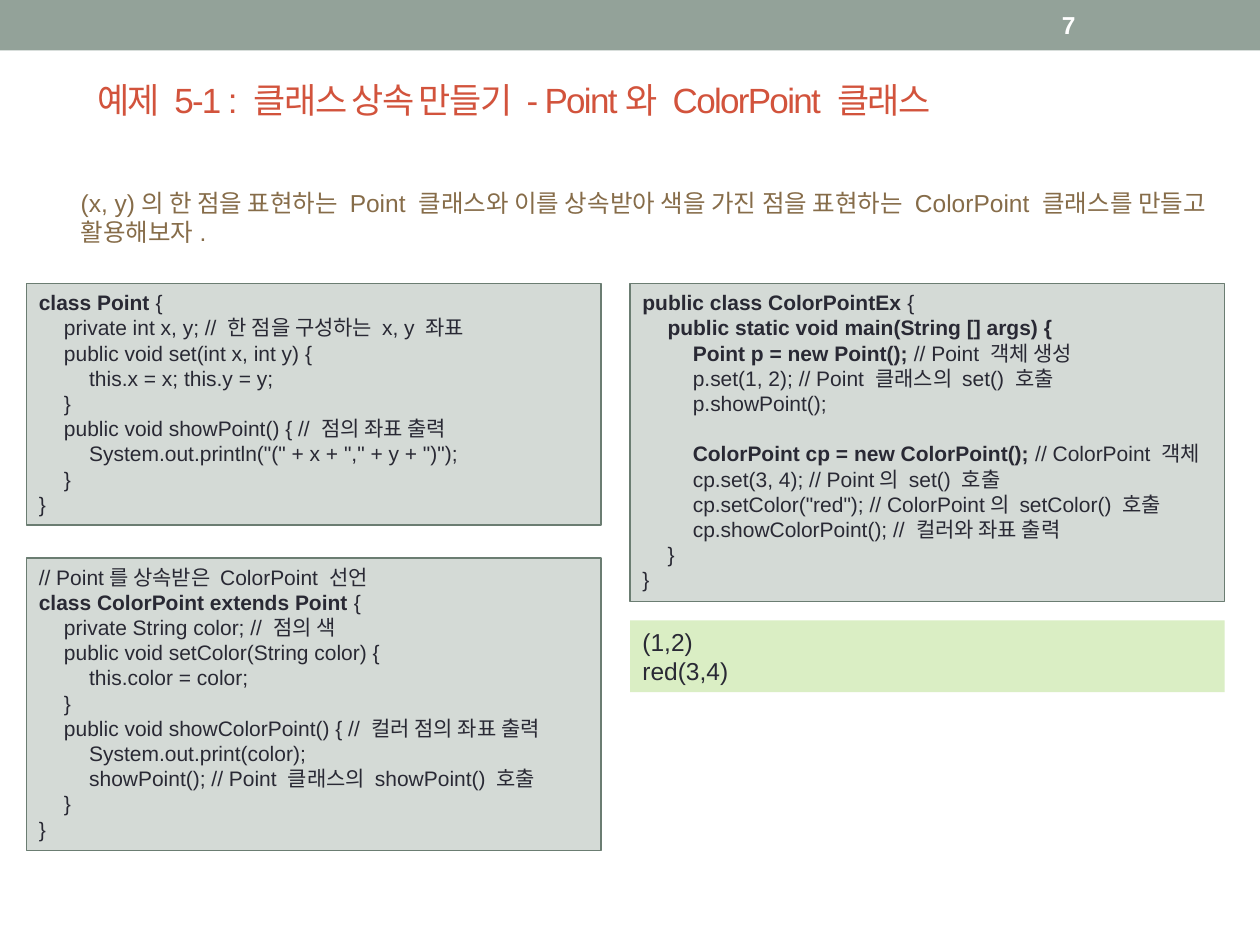
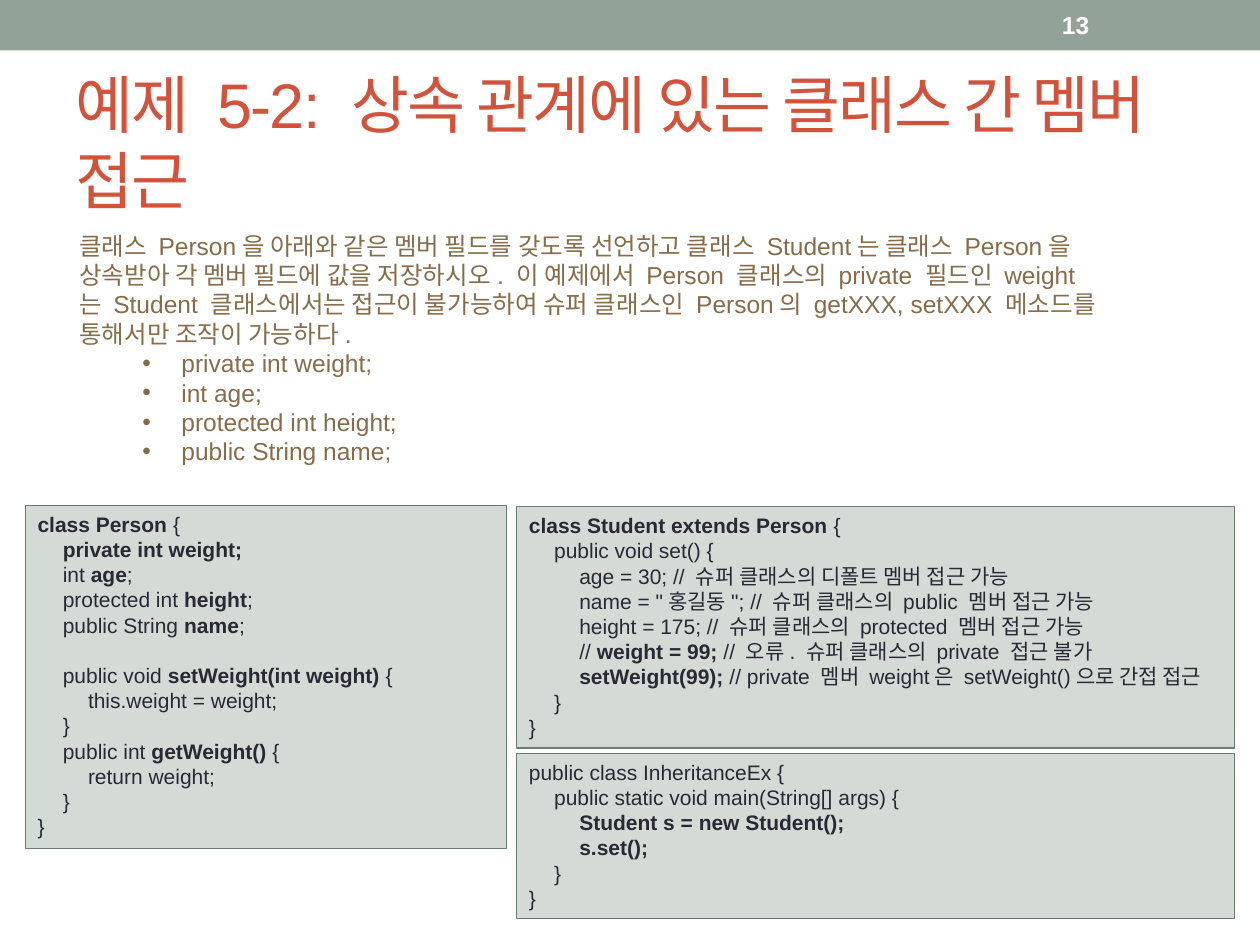
from collections import namedtuple

from lxml import etree
from pptx import Presentation
from pptx import util as u
from pptx.dml.color import RGBColor
from pptx.enum import shapes, text
from pptx.oxml import ns

COLS, ROWS = 100, 75
WIDTH, HEIGHT = u.Inches(10), u.Inches(7.5)
FONT = "Arial"
BAND = RGBColor(0x93, 0xA2, 0x99)
WHITE = RGBColor(0xFF, 0xFF, 0xFF)
TITLE = RGBColor(0xD2, 0x53, 0x3C)
BODY = RGBColor(0x86, 0x6C, 0x49)
INK = RGBColor(0x29, 0x29, 0x34)
CODE_FILL = RGBColor(0xD4, 0xDA, 0xD6)
CODE_LINE = RGBColor(0x6B, 0x7D, 0x72)
OUTPUT_FILL = RGBColor(0xDA, 0xEE, 0xC4)
CODE_SIZE, TEXT_SIZE = 12, 14
CODE_ROW, OUTPUT_ROW, PADDING = 2.02, 2.35, 1

Box = namedtuple("Box", "col row cols rows")
Panel = namedtuple("Panel", "lines is_output", defaults=(False,))

POINT = """**class Point **{
    private int x, y; // 한 점을 구성하는 x, y 좌표
    public void set(int x, int y) {
        this.x = x; this.y = y;
    }
    public void showPoint() { // 점의 좌표 출력
        System.out.println("(" + x + "," + y + ")");
    }
}"""

COLOR_POINT = """// Point를 상속받은 ColorPoint 선언
**class ColorPoint extends Point **{
    private String color; // 점의 색
    public void setColor(String color) {
        this.color = color;
    }
    public void showColorPoint() { // 컬러 점의 좌표 출력
        System.out.print(color);
        showPoint(); // Point 클래스의 showPoint() 호출
    }
}"""

COLOR_POINT_EX = """**public class ColorPointEx **{
    **public static void main(String [] args) {**
        **Point p = new Point(); **// Point 객체 생성
        p.set(1, 2); // Point 클래스의 set() 호출
        p.showPoint();

        **ColorPoint cp = new ColorPoint();** // ColorPoint 객체
        cp.set(3, 4); // Point의 set() 호출
        cp.setColor("red"); // ColorPoint의 setColor() 호출
        cp.showColorPoint(); // 컬러와 좌표 출력
    }
}"""

PERSON = """**class Person **{
    **private int weight;**
    int **age**;
    protected int **height**;
    public String **name**;

    public void **setWeight(int weight) **{
        this.weight = weight;
    }
    public int **getWeight() **{
        return weight;
    }
}"""

STUDENT = """**class Student extends Person **{
    public void set() {
        age = 30; // 슈퍼 클래스의 디폴트 멤버 접근 가능
        name = "홍길동"; // 슈퍼 클래스의 public 멤버 접근 가능
        height = 175; // 슈퍼 클래스의 protected 멤버 접근 가능
        // **weight = 99; **// 오류. 슈퍼 클래스의 private 접근 불가
        **setWeight(99);** // private 멤버 weight은 setWeight()으로 간접 접근
    }
}"""

INHERITANCE_EX = """public class InheritanceEx {
    public static void main(String[] args) {
        **Student s = new Student();**
        **s.set();**
    }
}"""

POINT_TASK = "(x, y)의 한 점을 표현하는 Point 클래스와 이를 상속받아 색을 가진 점을 표현하는 ColorPoint 클래스를 만들고 활용해보자."
PERSON_TASK = (
    "클래스 Person을 아래와 같은 멤버 필드를 갖도록 선언하고 클래스 Student는 클래스 Person을 "
    "상속받아 각 멤버 필드에 값을 저장하시오. 이 예제에서 Person 클래스의 private 필드인 "
    "weight는 Student 클래스에서는 접근이 불가능하여 슈퍼 클래스인 Person의 getXXX, setXXX "
    "메소드를 통해서만 조작이 가능하다."
)
PERSON_FIELDS = ["private int weight;", "int age;", "protected int height;", "public String name;"]


def emu(box):
    x, y = WIDTH / COLS, HEIGHT / ROWS
    return [round(v) for v in (box.col * x, box.row * y, box.cols * x, box.rows * y)]


def move(sp, box):
    sp.left, sp.top, sp.width, sp.height = emu(box)


def add_box(slide, box, fill, line=None):
    sp = slide.shapes.add_shape(shapes.MSO_SHAPE.RECTANGLE, *emu(box))
    sp.shadow.inherit = False
    sp.fill.solid()
    sp.fill.fore_color.rgb = fill
    if line is None:
        sp.line.fill.background()
    else:
        sp.line.color.rgb = line
        sp.line.width = u.Pt(0.75)
    return sp


def frame(sp, anchor=text.MSO_ANCHOR.TOP):
    tf = sp.text_frame
    tf.word_wrap = True
    tf.auto_size = text.MSO_AUTO_SIZE.NONE
    tf.vertical_anchor = anchor
    return tf


def paragraph(tf, index):
    p = tf.paragraphs[0] if index == 0 else tf.add_paragraph()
    p.alignment = text.PP_ALIGN.LEFT
    return p


def add_run(p, words, size, color, bold=False):
    r = p.add_run()
    r.text = words
    r.font.name = FONT
    r.font.size = u.Pt(size)
    r.font.bold = bold
    r.font.color.rgb = color
    return r


def child(parent, tag, **attrs):
    return etree.SubElement(parent, ns.qn(tag), {k: str(v) for k, v in attrs.items()})


def header(slide, box, number):
    add_box(slide, box, BAND)
    place = Box(box.col + box.cols * 0.833, box.row + 0.2, box.cols * 0.117, box.rows * 0.9)
    sp = slide.shapes.add_textbox(*emu(place))
    p = paragraph(frame(sp, text.MSO_ANCHOR.MIDDLE), 0)
    add_run(p, number, TEXT_SIZE, WHITE, True)


def title(slide, box, words, size):
    sp = slide.shapes.title
    move(sp, box)
    p = paragraph(frame(sp, text.MSO_ANCHOR.MIDDLE), 0)
    r = add_run(p, words, size, TITLE)
    r.font.element.set("spc", "-100") if hasattr(r.font, "element") else r._r.get_or_add_rPr().set("spc", "-100")


def task(slide, box, intro, fields=()):
    sp = slide.placeholders[1]
    move(sp, box)
    tf = frame(sp)
    for i, words in enumerate([intro, *fields]):
        p = paragraph(tf, i)
        p.space_before = u.Pt(0)
        pPr = p._p.get_or_add_pPr()
        if i == 0:
            pPr.set("marL", "0")
            pPr.set("indent", "0")
            child(pPr, "a:buNone")
        else:
            p.level = 1
            pPr.set("marL", str(u.Inches(0.81)))
            pPr.set("indent", str(u.Inches(-0.31)))
            child(pPr, "a:buFont", typeface=FONT)
            child(pPr, "a:buChar", char="•")
        add_run(p, words, TEXT_SIZE, BODY)


def code_line(p, line):
    pPr = p._p.get_or_add_pPr()
    tabs = child(pPr, "a:tabLst")
    for stop in (0.2, 0.4):
        child(tabs, "a:tab", pos=u.Inches(stop), algn="l")
    for i, part in enumerate(line.replace("    ", "\t").split("**")):
        if part:
            add_run(p, part, CODE_SIZE, INK, i % 2 == 1)
    if not line:
        child(p._p, "a:endParaRPr", sz=CODE_SIZE * 100)


def panel_stack(slide, box, panels, gap=0):
    row = box.row
    for panel in panels:
        lines = panel.lines.split("\n")
        rows = PADDING + len(lines) * (OUTPUT_ROW if panel.is_output else CODE_ROW)
        place = Box(box.col, row, box.cols, rows)
        if panel.is_output:
            sp = add_box(slide, place, OUTPUT_FILL)
        else:
            sp = add_box(slide, place, CODE_FILL, CODE_LINE)
        tf = frame(sp)
        for i, line in enumerate(lines):
            p = paragraph(tf, i)
            if panel.is_output:
                add_run(p, line, TEXT_SIZE, INK)
            else:
                code_line(p, line)
        row += rows + gap


def example_slide(prs, number):
    slide = prs.slides.add_slide(prs.slide_layouts[1])
    header(slide, Box(0, 0, COLS, 4), number)
    return slide


def point_slide(prs):
    slide = example_slide(prs, "7")
    title(slide, Box(6.7, 2.5, 89.2, 10.8), "예제 5-1 : 클래스 상속 만들기 - Point와 ColorPoint 클래스", 20)
    task(slide, Box(5.4, 14.4, 91.9, 5.7), POINT_TASK)
    panel_stack(slide, Box(2.1, 22.5, 45.6, 45), [Panel(POINT), Panel(COLOR_POINT)], 2.6)
    results = Panel("(1,2)\nred(3,4)", True)
    panel_stack(slide, Box(50, 22.5, 47.2, 32.4), [Panel(COLOR_POINT_EX), results], 1.5)


def person_slide(prs):
    slide = example_slide(prs, "13")
    title(slide, Box(5, 5.8, 90, 10.8), "예제 5-2: 상속 관계에 있는 클래스 간 멤버 접근", 36)
    task(slide, Box(5.3, 17.8, 82.7, 19.9), PERSON_TASK, PERSON_FIELDS)
    panel_stack(slide, Box(2, 40.1, 38.2, 27.3), [Panel(PERSON)])
    panel_stack(slide, Box(41, 40.2, 57, 32.7), [Panel(STUDENT), Panel(INHERITANCE_EX)], 0.4)


def main():
    prs = Presentation()
    prs.slide_width, prs.slide_height = WIDTH, HEIGHT
    point_slide(prs)
    person_slide(prs)
    prs.save("out.pptx")


if __name__ == "__main__":
    main()
